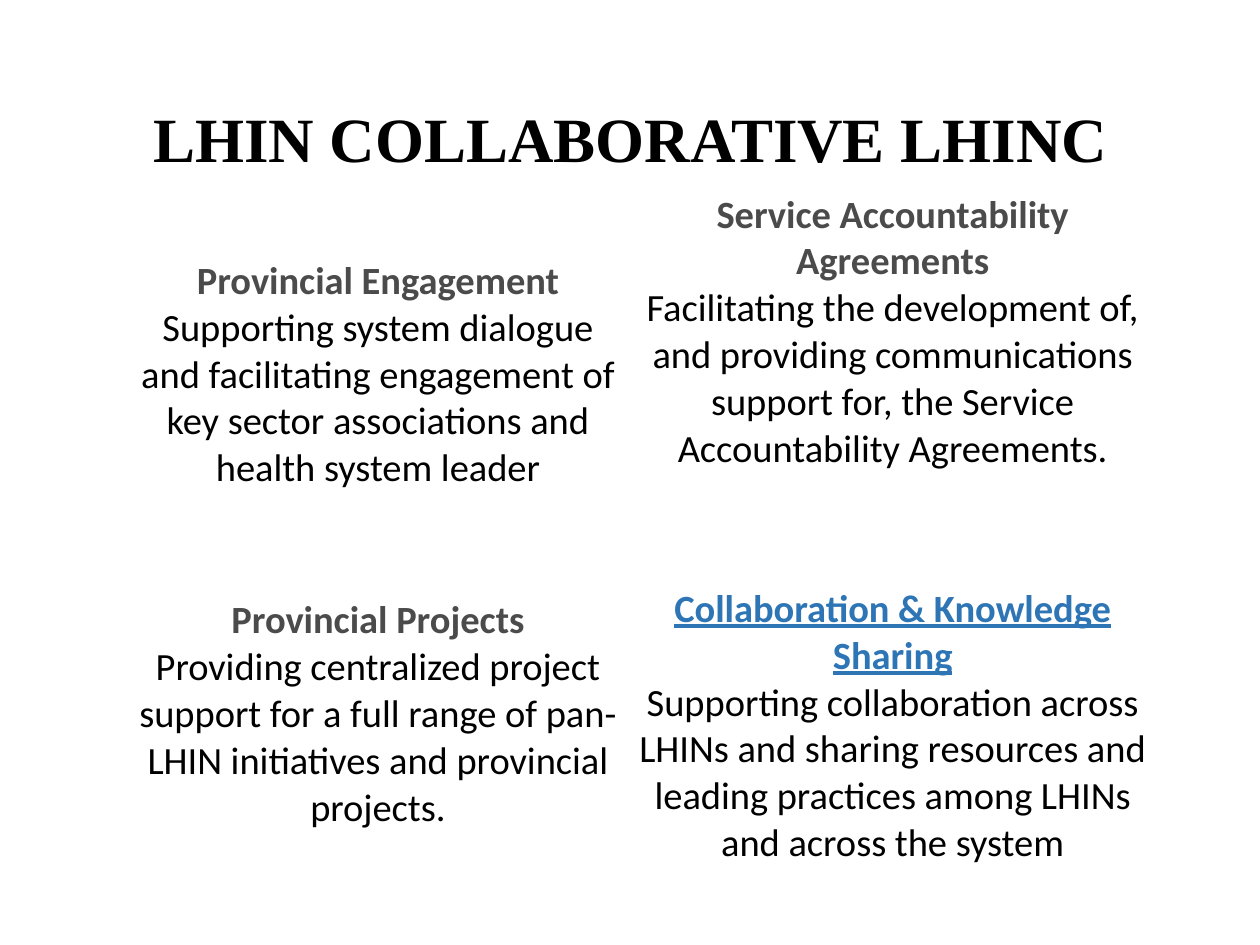
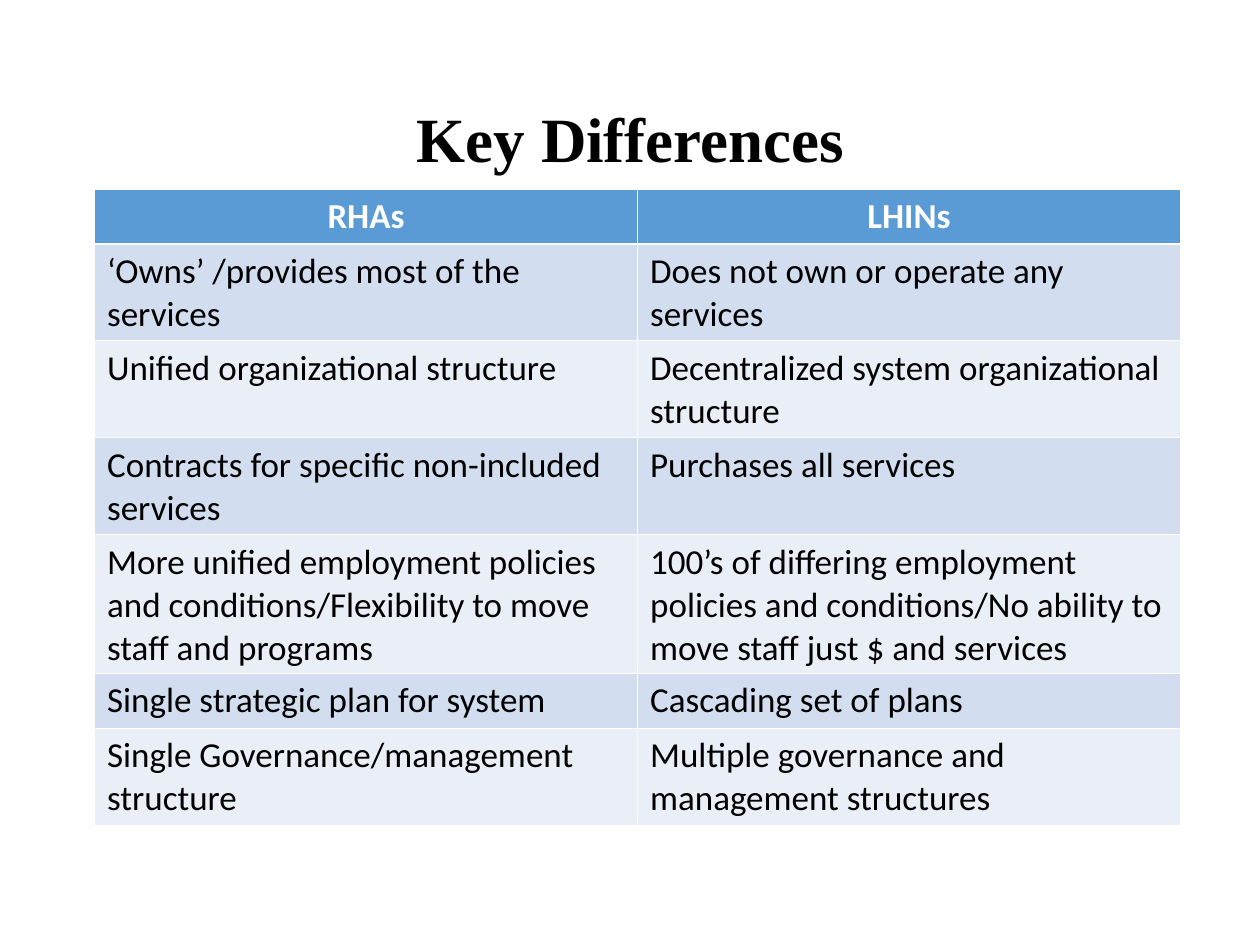
from dataclasses import dataclass

from lxml import etree
from pptx import Presentation
from pptx.dml.color import RGBColor
from pptx.enum import text
from pptx.oxml import ns
from pptx.util import Inches, Pt


@dataclass(frozen=True)
class Theme:
    title_font: str = "Times New Roman"
    body_font: str = "Calibri"
    title_size: int = 36
    role_size: int = 22
    table_size: int = 20
    ink: str = "000000"
    white: str = "FFFFFF"
    heading: str = "4B4B4B"
    link: str = "2E75B6"
    header_fill: str = "5B9BD5"
    band_fills: tuple = ("D2DEEF", "EAEFF7")
    thin: float = 0.45
    thick: float = 1.5


T = Theme()
CENTER, LEFT = text.PP_ALIGN.CENTER, text.PP_ALIGN.LEFT
MIDDLE, TOP = text.MSO_ANCHOR.MIDDLE, text.MSO_ANCHOR.TOP

# Heading, description, heading colour, anchor, side inset, bottom inset
ROLES = [
    [("Provincial Engagement",
      "Supporting system dialogue and facilitating engagement of key sector "
      "associations and health system leader",
      T.heading, MIDDLE, 0.1, 0.05),
     ("Service Accountability Agreements",
      "Facilitating the development of, and providing communications support "
      "for, the Service Accountability Agreements.",
      T.heading, TOP, 0.07, 0.05)],
    [("Provincial Projects",
      "Providing centralized project support for a full range of pan-LHIN "
      "initiatives and provincial projects.",
      T.heading, MIDDLE, 0.07, 0.24),
     ("Collaboration & Knowledge Sharing",
      "Supporting collaboration across LHINs and sharing resources and leading "
      "practices among LHINs and across the system",
      T.link, MIDDLE, 0.07, 0.05)],
]

DIFFERENCES = [
    ("RHAs", "LHINs"),
    ("‘Owns’ /provides most of the services",
     "Does not own or operate any services"),
    ("Unified organizational structure",
     "Decentralized system organizational structure"),
    ("Contracts for specific non-included services",
     "Purchases all services"),
    ("More unified employment policies and conditions/Flexibility to move "
     "staff and programs",
     "100’s of differing employment policies and conditions/No ability to "
     "move staff just $ and services"),
    ("Single strategic plan for system", "Cascading set of plans"),
    ("Single Governance/management structure",
     "Multiple governance and management structures"),
]
DIFFERENCE_HEIGHTS = [0.43, 0.77, 0.77, 0.77, 1.1, 0.43, 0.77]


def write(p, words, size, color, bold=False, font=T.body_font, align=CENTER,
          underline=None):
    p.text = words
    p.alignment = align
    f = p.font
    f.name, f.size, f.bold, f.underline = font, Pt(size), bold, underline
    f.color.rgb = RGBColor.from_string(color)


def add_title(slide, words):
    tf = slide.shapes.add_textbox(Inches(0.69), Inches(0.4),
                                  Inches(8.63), Inches(1.45)).text_frame
    tf.word_wrap = True
    tf.vertical_anchor = MIDDLE
    p = tf.paragraphs[0]
    write(p, words, T.title_size, T.ink, True, T.title_font)
    p.line_spacing = 0.9


def add_grid(slide, left, top, widths, heights):
    frame = slide.shapes.add_table(len(heights), len(widths), Inches(left),
                                   Inches(top), Inches(sum(widths)),
                                   Inches(sum(heights)))
    table = frame.table
    table.horz_banding = False
    for col, width in zip(table.columns, widths):
        col.width = Inches(width)
    for row, height in zip(table.rows, heights):
        row.height = Inches(height)
    return table


def set_borders(cell, **widths):
    """Draw white edges; call before the fill, which must follow them."""
    props = cell._tc.get_or_add_tcPr()
    for side in "LRTB":
        ln = etree.SubElement(props, ns.qn(f"a:ln{side}"),
                              w=str(Pt(widths.get(side, T.thin))))
        fill = etree.SubElement(ln, ns.qn("a:solidFill"))
        etree.SubElement(fill, ns.qn("a:srgbClr"), val=T.white)


def fill_role(cell, heading, description, color, anchor, side, bottom):
    cell.fill.background()
    cell.vertical_anchor = anchor
    cell.margin_left = cell.margin_right = Inches(side)
    cell.margin_top, cell.margin_bottom = Inches(0.05), Inches(bottom)
    tf = cell.text_frame
    write(tf.paragraphs[0], heading, T.role_size, color, True,
          underline=color == T.link)
    write(tf.add_paragraph(), description, T.role_size, T.ink)


def fill_difference(cell, words, row):
    header = row == 0
    edges = {0: {"B": T.thick}, 1: {"T": T.thick}}.get(row, {})
    set_borders(cell, **edges)
    cell.fill.solid()
    cell.fill.fore_color.rgb = RGBColor.from_string(
        T.header_fill if header else T.band_fills[(row - 1) % 2])
    write(cell.text_frame.paragraphs[0], words, T.table_size,
          T.white if header else T.ink, header,
          align=CENTER if header else LEFT)


def add_slide(prs, title):
    slide = prs.slides.add_slide(prs.slide_layouts[6])
    add_title(slide, title)
    return slide


def main():
    prs = Presentation()
    prs.slide_width, prs.slide_height = Inches(10), Inches(7.5)

    # Four roles in a two by two grid
    slide = add_slide(prs, "LHIN COLLABORATIVE LHINC")
    table = add_grid(slide, 1, 1.47, [4, 4.17], [3.01, 2.57])
    table.first_row = False
    for r, roles in enumerate(ROLES):
        for c, role in enumerate(roles):
            fill_role(table.cell(r, c), *role)

    # Comparison table
    slide = add_slide(prs, "Key Differences")
    table = add_grid(slide, 0.75, 1.5, [4.31, 4.31], DIFFERENCE_HEIGHTS)
    for r, pair in enumerate(DIFFERENCES):
        for c, words in enumerate(pair):
            fill_difference(table.cell(r, c), words, r)

    prs.save("out.pptx")


if __name__ == "__main__":
    main()
